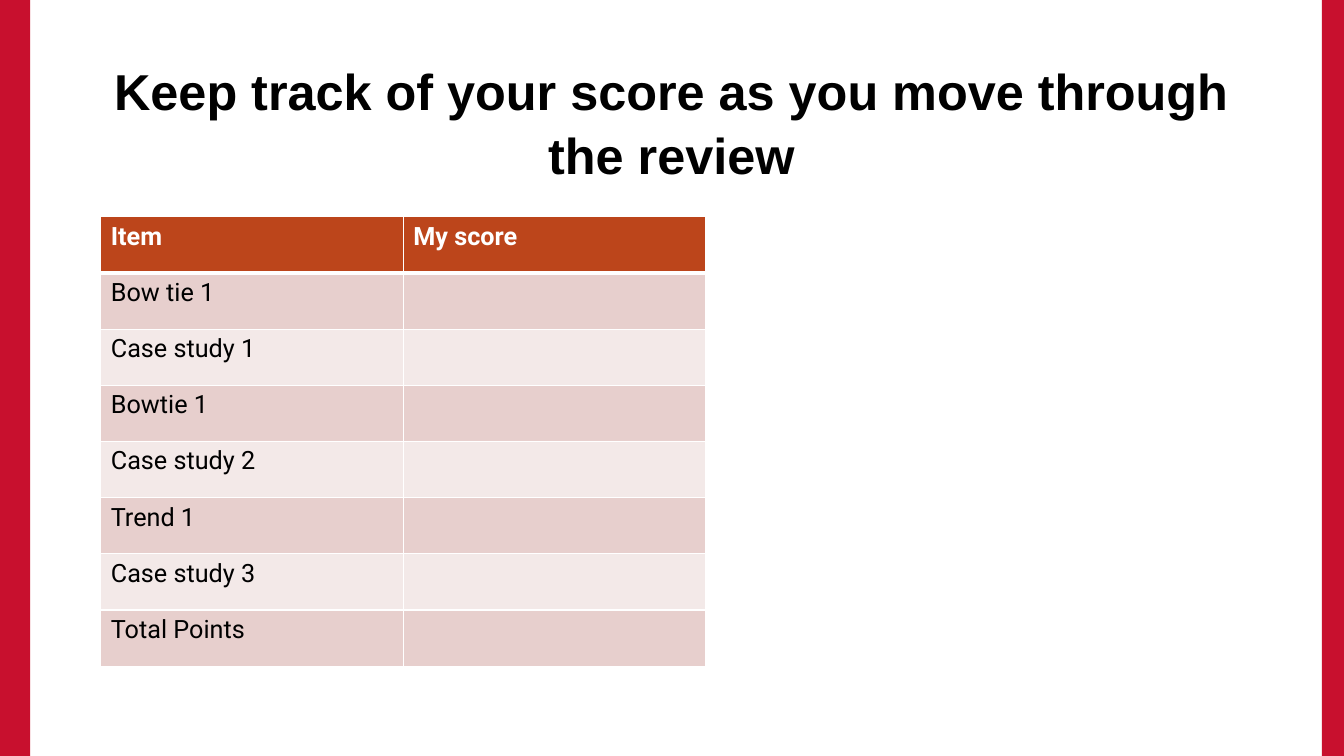
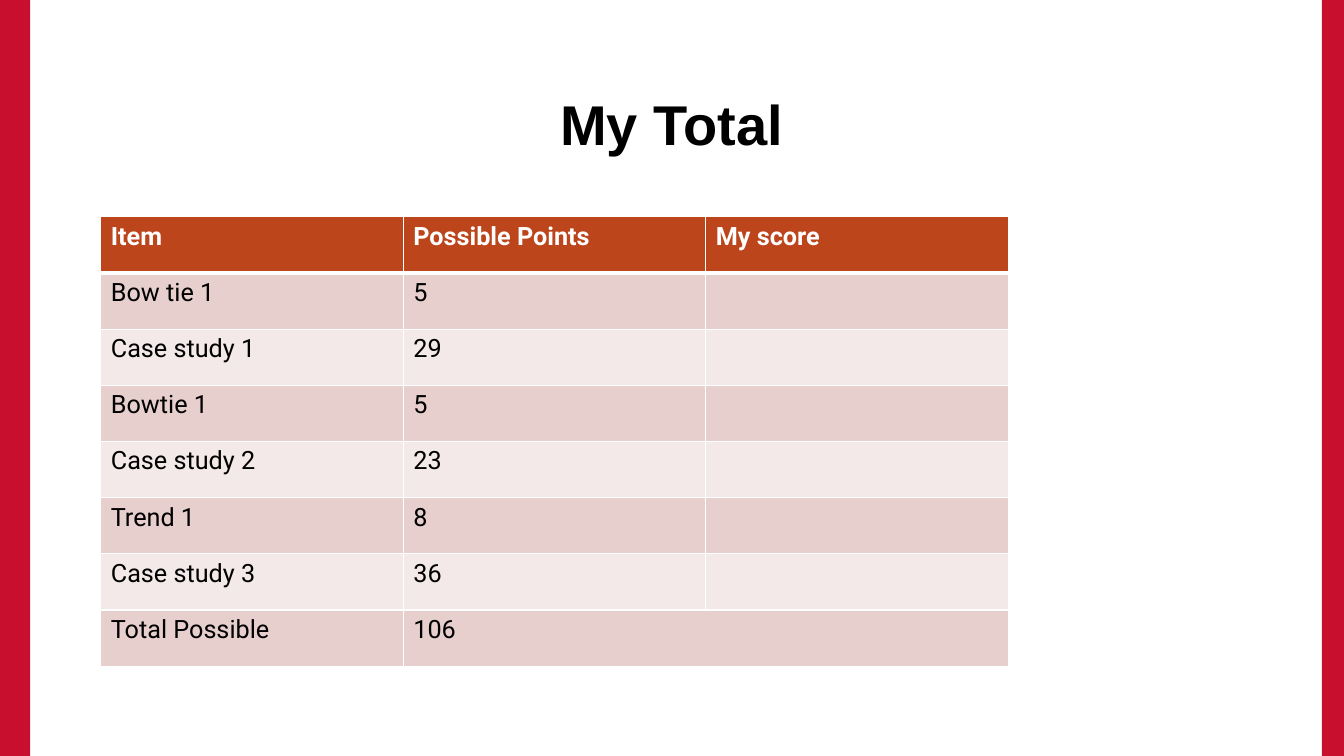
from lxml import etree
from pptx import Presentation
from pptx.dml.color import RGBColor
from pptx.enum.shapes import MSO_SHAPE as Shape
from pptx.enum.text import MSO_ANCHOR as Anchor, PP_ALIGN as Align
from pptx.oxml.ns import qn
from pptx.util import Inches, Pt

COLORS = {
    "band": "C8102E",
    "header": "BC451B",
    "odd_row": "E7CFCD",
    "even_row": "F3E9E8",
    "white": "FFFFFF",
    "text": "000000",
}
TITLE_FONT, TABLE_FONT = "Arial", "Roboto"
SLIDE_W, SLIDE_H = 13.33, 7.5
LEFT_BAND, RIGHT_BAND = (0, 0, 0.3, SLIDE_H), (13.11, 0, 0.22, SLIDE_H)
TITLE_BOX = (1, 0.67, 11.32, 1.06)
TABLE_LEFT, TABLE_TOP, TABLE_H, COLUMN_W = 1, 2.15, 4.46, 3

TRACKER_ROWS = [
    ("Item", "My score"),
    ("Bow tie 1", ""),
    ("Case study 1", ""),
    ("Bowtie 1", ""),
    ("Case study 2", ""),
    ("Trend 1", ""),
    ("Case study 3", ""),
    ("Total Points", ""),
]
TOTAL_ROWS = [
    ("Item", "Possible Points", "My score"),
    ("Bow tie 1", "5", ""),
    ("Case study 1", "29", ""),
    ("Bowtie 1", "5", ""),
    ("Case study 2", "23", ""),
    ("Trend 1", "8", ""),
    ("Case study 3", "36", ""),
    ("Total Possible", "106", ""),
]


def rgb(name):
    return RGBColor.from_string(COLORS[name])


def inches(box):
    return [Inches(length) for length in box]


def style_font(font, name, size, color, bold):
    font.name, font.size, font.bold = name, Pt(size), bold
    font.color.rgb = rgb(color)


def add_bands(slide):
    for box in (LEFT_BAND, RIGHT_BAND):
        band = slide.shapes.add_shape(Shape.RECTANGLE, *inches(box))
        band.shadow.inherit = False
        band.fill.solid()
        band.fill.fore_color.rgb = rgb("band")
        band.line.fill.background()


def add_title(slide, box, title, size):
    frame = slide.shapes.add_textbox(*inches(box)).text_frame
    frame.word_wrap = True
    frame.vertical_anchor = Anchor.MIDDLE
    frame.text = title
    heading = frame.paragraphs[0]
    heading.alignment = Align.CENTER
    heading.line_spacing = 1.05
    style_font(heading.runs[0].font, TITLE_FONT, size, "text", True)


def set_borders(cell, **widths):
    """Draw white borders; they must come before the fill of the cell."""
    properties = cell._tc.get_or_add_tcPr()
    for side in ("L", "R", "T", "B"):
        line = etree.SubElement(properties, qn(f"a:ln{side}"),
                                w=str(Pt(widths.get(side, 1))))
        fill = etree.SubElement(line, qn("a:solidFill"))
        etree.SubElement(fill, qn("a:srgbClr"), val=COLORS["white"])


def add_score_table(slide, box, rows):
    table = slide.shapes.add_table(len(rows), len(rows[0]), *inches(box)).table
    for r, row in enumerate(rows):
        is_header = r == 0
        if is_header:
            fill, borders = "header", {"B": 3}
        else:
            fill = "odd_row" if r % 2 else "even_row"
            borders = {"T": 3} if r == 1 else {}
        for c, label in enumerate(row):
            cell = table.cell(r, c)
            set_borders(cell, **borders)
            cell.fill.solid()
            cell.fill.fore_color.rgb = rgb(fill)
            cell.text_frame.text = label
            style_font(cell.text_frame.paragraphs[0].font, TABLE_FONT, 18,
                       "white" if is_header else "text", is_header)
            for run in cell.text_frame.paragraphs[0].runs:
                style_font(run.font, TABLE_FONT, 18,
                           "white" if is_header else "text", is_header)
    return table


def add_score_slide(deck, title, title_size, rows):
    slide = deck.slides.add_slide(deck.slide_layouts[6])
    add_bands(slide)
    add_title(slide, TITLE_BOX, title, title_size)
    box = (TABLE_LEFT, TABLE_TOP, COLUMN_W * len(rows[0]), TABLE_H)
    return add_score_table(slide, box, rows)


def main():
    deck = Presentation()
    deck.slide_width, deck.slide_height = Inches(SLIDE_W), Inches(SLIDE_H)

    # Blank score sheet
    add_score_slide(
        deck, "Keep track of your score as you move through the review", 36,
        TRACKER_ROWS)

    # Possible points, with the total across the last two columns
    totals = add_score_slide(deck, "My Total", 40, TOTAL_ROWS)
    last = len(TOTAL_ROWS) - 1
    totals.cell(last, 1).merge(totals.cell(last, 2))

    deck.save("out.pptx")


if __name__ == "__main__":
    main()
